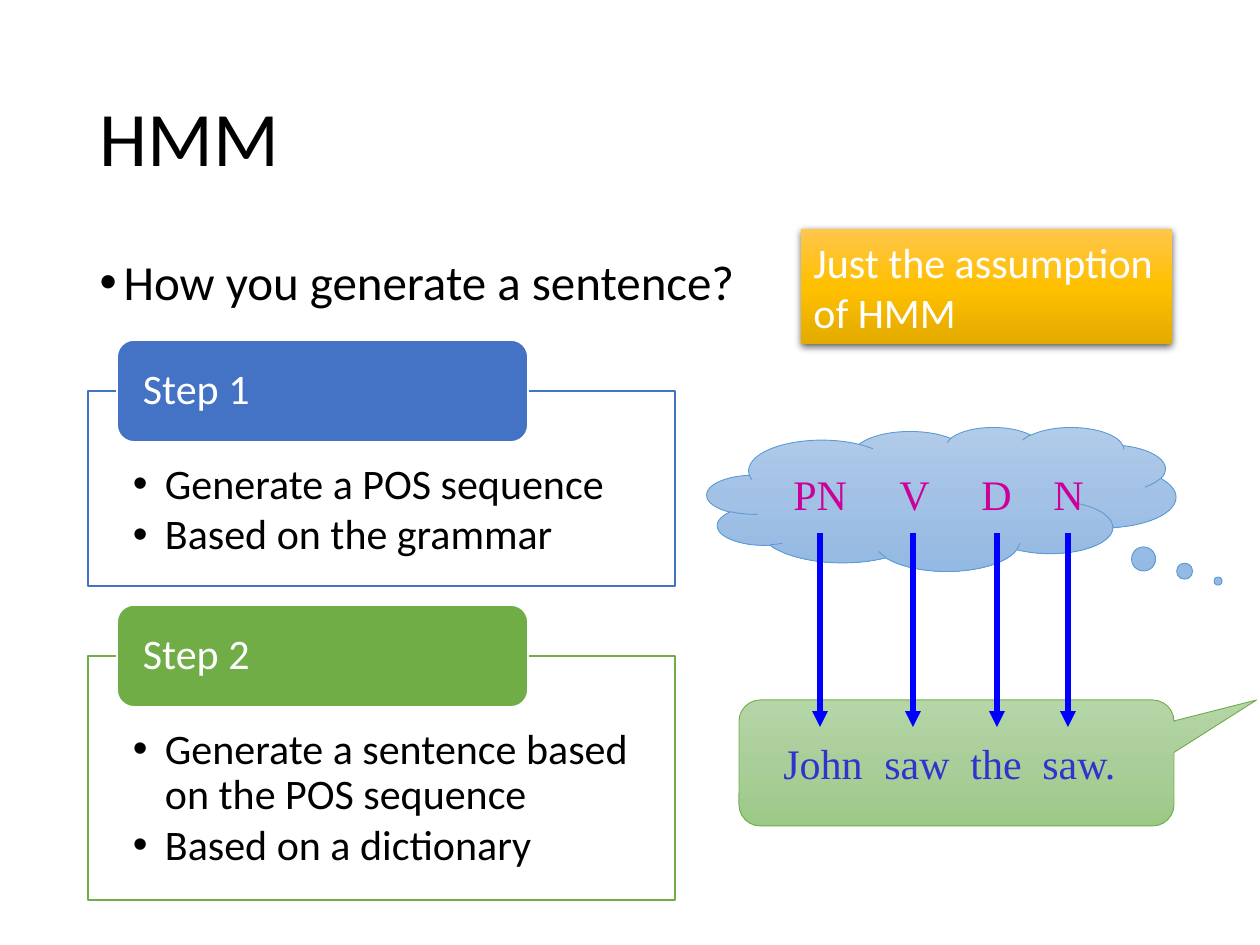
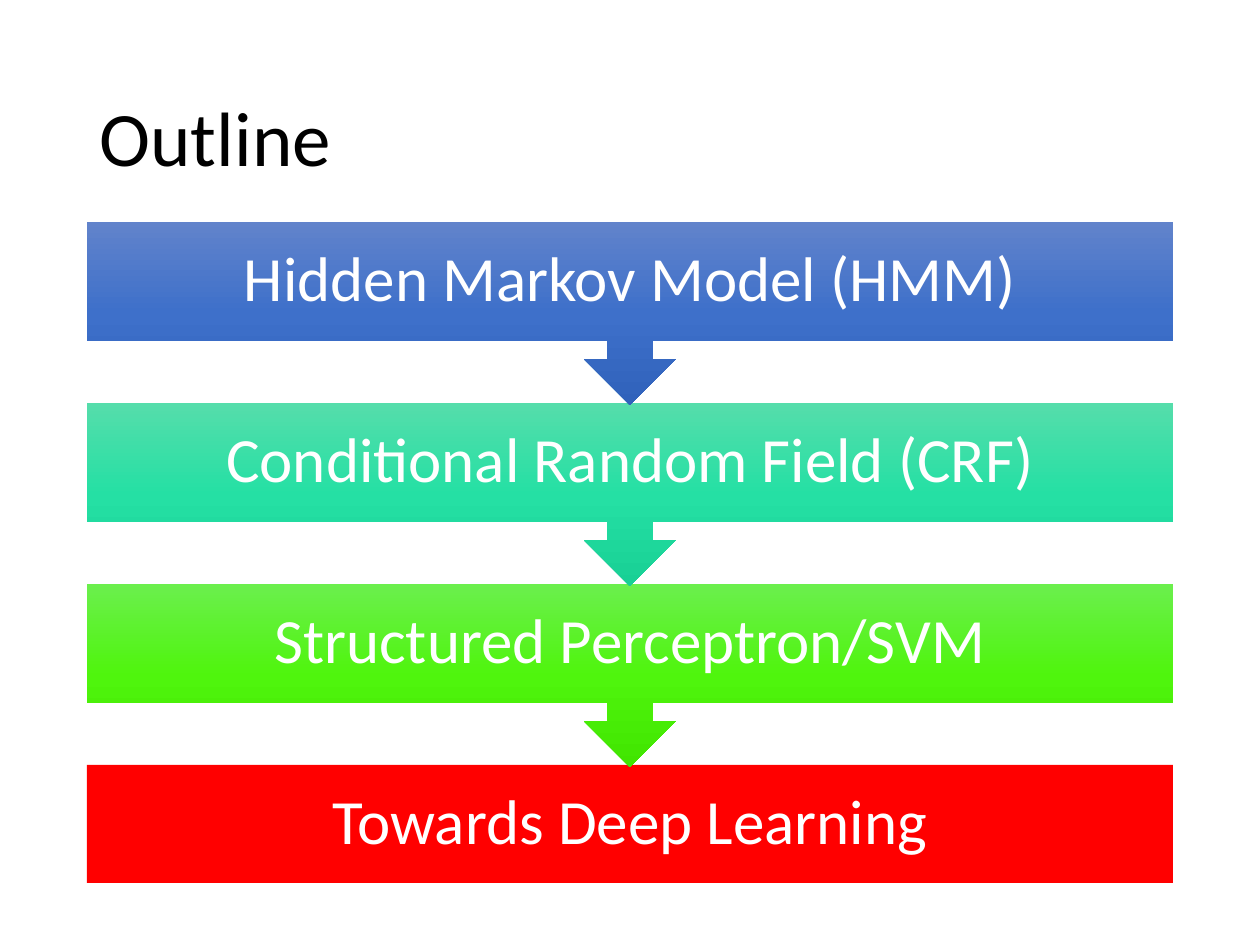
from copy import deepcopy
from dataclasses import dataclass

import pptx
import pptx.dml.color
import pptx.enum.shapes
import pptx.enum.text
import pptx.oxml
import pptx.oxml.ns
import pptx.util

RGBColor = pptx.dml.color.RGBColor
Shapes = pptx.enum.shapes.MSO_SHAPE
Align = pptx.enum.text.PP_ALIGN
Anchor = pptx.enum.text.MSO_ANCHOR
Pt = pptx.util.Pt

PX_PER_INCH = 126
BLACK = RGBColor(0x00, 0x00, 0x00)
WHITE = RGBColor(0xFF, 0xFF, 0xFF)
BLUE = RGBColor(0x44, 0x72, 0xC4)
GREEN = RGBColor(0x70, 0xAD, 0x47)
SKY = RGBColor(0x5B, 0x9B, 0xD5)
RED = RGBColor(0xFF, 0x00, 0x00)
ARROW_BLUE = RGBColor(0x00, 0x00, 0xFF)
TAG_MAGENTA = RGBColor(0xCC, 0x00, 0x99)
WORD_BLUE = RGBColor(0x33, 0x33, 0xCC)

Gradient = tuple[RGBColor, RGBColor, RGBColor]


def gradient(*codes: str) -> Gradient:
    return tuple(RGBColor.from_string(code) for code in codes)


SPEECH_GREENS = gradient("B5D5A7", "AACE9A", "9CC987")
THOUGHT_BLUES = gradient("B1CBE9", "A3C1E5", "93B9E4")
NOTE_GOLDS = gradient("FFC64B", "FFC000", "E3AB00")
HMM_BLUES = gradient("6183CB", "3E70CA", "3062BB")
CRF_TEALS = gradient("55DDAB", "25E0A4", "18D095")
SVM_GREENS = gradient("6BEF4D", "4FF50D", "41E500")


def px(length: float) -> int:
    return round(length * 914400 / PX_PER_INCH)


@dataclass(frozen=True)
class Box:
    left: int
    top: int
    width: int
    height: int

    def emu(self) -> tuple[int, ...]:
        return tuple(px(n) for n in (self.left, self.top, self.width, self.height))


@dataclass(frozen=True)
class Step:
    heading: str
    points: tuple[str, ...]
    color: RGBColor
    top: int
    height: int


@dataclass(frozen=True)
class WordRow:
    """Words of one line, each after the first at its own tab stop."""
    words: tuple[str, ...]
    tabs: tuple[int, ...]
    color: RGBColor
    box: Box


@dataclass(frozen=True)
class Topic:
    name: str
    fill: Gradient | RGBColor


TITLE_BOX = Box(87, 50, 1086, 183)
QUESTION_BOX = Box(87, 252, 1086, 600)
STEPS = (
    Step("Step 1", ("Generate a POS sequence", "Based on the grammar"), BLUE, 391, 195),
    Step("Step 2", ("Generate a sentence based on the POS sequence",
                    "Based on a dictionary"), GREEN, 656, 244),
)
WORD_ROWS = (
    WordRow(("John", "saw", "the", "saw."), (101, 187, 259), WORD_BLUE, Box(771, 731, 360, 64)),
    WordRow(("PN", "V", "D", "N"), (106, 188, 260), TAG_MAGENTA, Box(781, 462, 319, 64)),
)
ARROW_XS = (820, 913, 997, 1068)
ARROW_TOP, ARROW_BOTTOM = 533, 727
TOPICS = (
    Topic("Hidden Markov Model (HMM)", HMM_BLUES),
    Topic("Conditional Random Field (CRF)", CRF_TEALS),
    Topic("Structured Perceptron/SVM", SVM_GREENS),
    Topic("Towards Deep Learning", RED),
)
TOPIC_TOP, TOPIC_PITCH = 222, 181
TOPIC_HEIGHT, TOPIC_ARROW_HEIGHT = 118, 183


def element(xml: str):
    return pptx.oxml.parse_xml(xml.replace(" ", f" {pptx.oxml.ns.nsdecls('a')} ", 1))


def write(frame, lines: tuple[str, ...], size: int, color: RGBColor, font: str = "Calibri",
          align=Align.LEFT, spacing: float = 0.9) -> None:
    frame.text = "\n".join(lines)
    for paragraph in frame.paragraphs:
        paragraph.alignment = align
        paragraph.line_spacing = spacing
        for run in paragraph.runs:
            run.font.name = font
            run.font.size = Pt(size)
            run.font.color.rgb = color


def set_insets(frame, left: int, top: int, right: int, bottom: int) -> None:
    frame.margin_left, frame.margin_top = px(left), px(top)
    frame.margin_right, frame.margin_bottom = px(right), px(bottom)


def add_bullet(paragraph, indent: int) -> None:
    properties = paragraph._p.get_or_add_pPr()
    properties.set("marL", str(px(indent)))
    properties.set("indent", str(-px(indent)))
    properties.append(element('<a:buFont typeface="Arial"/>'))
    properties.append(element('<a:buChar char="•"/>'))


def paint(shape, fill: Gradient | RGBColor) -> None:
    """Fill with one colour, or from top to bottom with three."""
    if isinstance(fill, RGBColor):
        shape.fill.solid()
        shape.fill.fore_color.rgb = fill
        return
    shape.fill.gradient()
    shape.fill.gradient_angle = 270
    stops = shape._element.spPr.find(".//" + pptx.oxml.ns.qn("a:gsLst"))
    stops.insert(1, deepcopy(stops[0]))
    for stop, color, position in zip(shape.fill.gradient_stops, fill, (0, 0.5, 1)):
        stop.color.rgb = color
        stop.position = position


def draw_shape(slide, kind, box: Box, fill: Gradient | RGBColor,
               line: RGBColor | None = None, line_width: float = 1,
               adjustments: tuple[float, ...] = ()):
    shape = slide.shapes.add_shape(kind, *box.emu())
    shape.shadow.inherit = False
    paint(shape, fill)
    if line is None:
        shape.line.fill.background()
    else:
        shape.line.color.rgb = line
        shape.line.width = Pt(line_width)
    for index, value in enumerate(adjustments):
        shape.adjustments[index] = value
    return shape


def draw_step(slide, step: Step) -> None:
    panel = draw_shape(slide, Shapes.RECTANGLE, Box(88, step.top, 587, step.height),
                       WHITE, step.color)
    frame = panel.text_frame
    frame.vertical_anchor = Anchor.TOP
    set_insets(frame, 45, 72, 45, 24)
    write(frame, step.points, 24, BLACK)
    for paragraph in frame.paragraphs:
        paragraph.space_after = Pt(3)
        add_bullet(paragraph, 32)

    heading = draw_shape(slide, Shapes.ROUNDED_RECTANGLE, Box(117, step.top - 51, 411, 102),
                         step.color, WHITE)
    set_insets(heading.text_frame, 21, 0, 21, 0)
    write(heading.text_frame, (step.heading,), 24, WHITE)


def draw_word_row(slide, row: WordRow) -> None:
    frame = slide.shapes.add_textbox(*row.box.emu()).text_frame
    frame.word_wrap = True
    write(frame, ("\t".join(row.words),), 24, row.color, "Times New Roman", spacing=1)
    tab_stops = element('<a:tabLst />')
    for tab in row.tabs:
        tab_stops.append(element(f'<a:tab pos="{px(tab)}" algn="l"/>'))
    frame.paragraphs[0]._p.get_or_add_pPr().append(tab_stops)


def draw_down_arrow(slide, x: int) -> None:
    arrow = slide.shapes.add_connector(pptx.enum.shapes.MSO_CONNECTOR.STRAIGHT,
                                       px(x), px(ARROW_TOP), px(x), px(ARROW_BOTTOM))
    arrow.line.color.rgb = ARROW_BLUE
    arrow.line.width = Pt(3)
    arrow.line._get_or_add_ln().append(element('<a:tailEnd type="triangle"/>'))
    arrow._element.spPr.append(element('<a:effectLst />'))


def place(placeholder, box: Box) -> None:
    placeholder.left, placeholder.top, placeholder.width, placeholder.height = box.emu()


def add_titled_slide(deck, layout_name: str, title: str):
    slide = deck.slides.add_slide(deck.slide_layouts.get_by_name(layout_name))
    heading = slide.shapes.title
    place(heading, TITLE_BOX)
    heading.text_frame.vertical_anchor = Anchor.MIDDLE
    write(heading.text_frame, (title,), 44, BLACK)
    return slide


def draw_assumption_note(slide) -> None:
    note = draw_shape(slide, Shapes.RECTANGLE, Box(801, 229, 371, 115), NOTE_GOLDS)
    write(note.text_frame, ("Just the assumption of HMM",), 24, WHITE, spacing=1)
    effects = note._element.spPr.find(pptx.oxml.ns.qn("a:effectLst"))
    effects.append(element(
        f'<a:outerShdw blurRad="{Pt(4.5)}" dist="{Pt(1.5)}" dir="5400000" rotWithShape="0">'
        '<a:srgbClr val="000000"><a:alpha val="63000"/></a:srgbClr></a:outerShdw>'))


def build_hmm(deck) -> None:
    slide = add_titled_slide(deck, "Title and Content", "HMM")
    question = slide.placeholders[1]
    place(question, QUESTION_BOX)
    write(question.text_frame, ("How you generate a sentence?",), 28, BLACK)
    question.text_frame.paragraphs[0].space_before = Pt(7.5)
    add_bullet(question.text_frame.paragraphs[0], 24)

    for step in STEPS:
        draw_step(slide, step)
    draw_assumption_note(slide)
    draw_shape(slide, Shapes.ROUNDED_RECTANGULAR_CALLOUT, Box(739, 700, 435, 126),
               SPEECH_GREENS, GREEN, 0.5, (0.69, -0.5, 0.17))
    draw_shape(slide, Shapes.CLOUD_CALLOUT, Box(707, 427, 469, 144),
               THOUGHT_BLUES, SKY, 0.5, (0.59, 0.57))
    for row in WORD_ROWS:
        draw_word_row(slide, row)
    for x in ARROW_XS:
        draw_down_arrow(slide, x)


def build_outline(deck) -> None:
    slide = add_titled_slide(deck, "Title Only", "Outline")
    last = len(TOPICS) - 1
    # Each arrow tip lies over the topic below it, so the lowest is drawn first.
    for index, topic in reversed(list(enumerate(TOPICS))):
        top = TOPIC_TOP + index * TOPIC_PITCH
        if index == last:
            block = draw_shape(slide, Shapes.RECTANGLE, Box(87, top, 1086, TOPIC_HEIGHT),
                               topic.fill)
        else:
            block = draw_shape(slide, Shapes.DOWN_ARROW_CALLOUT,
                               Box(87, top, 1086, TOPIC_ARROW_HEIGHT), topic.fill,
                               adjustments=(0.25, 0.25, 0.25, 0.65))
        set_insets(block.text_frame, 35, 0, 35, 0)
        write(block.text_frame, (topic.name,), 36, WHITE, align=Align.CENTER)


def main() -> None:
    deck = pptx.Presentation()
    deck.slide_width, deck.slide_height = px(1260), px(945)
    build_hmm(deck)
    build_outline(deck)
    deck.save("out.pptx")


if __name__ == "__main__":
    main()
